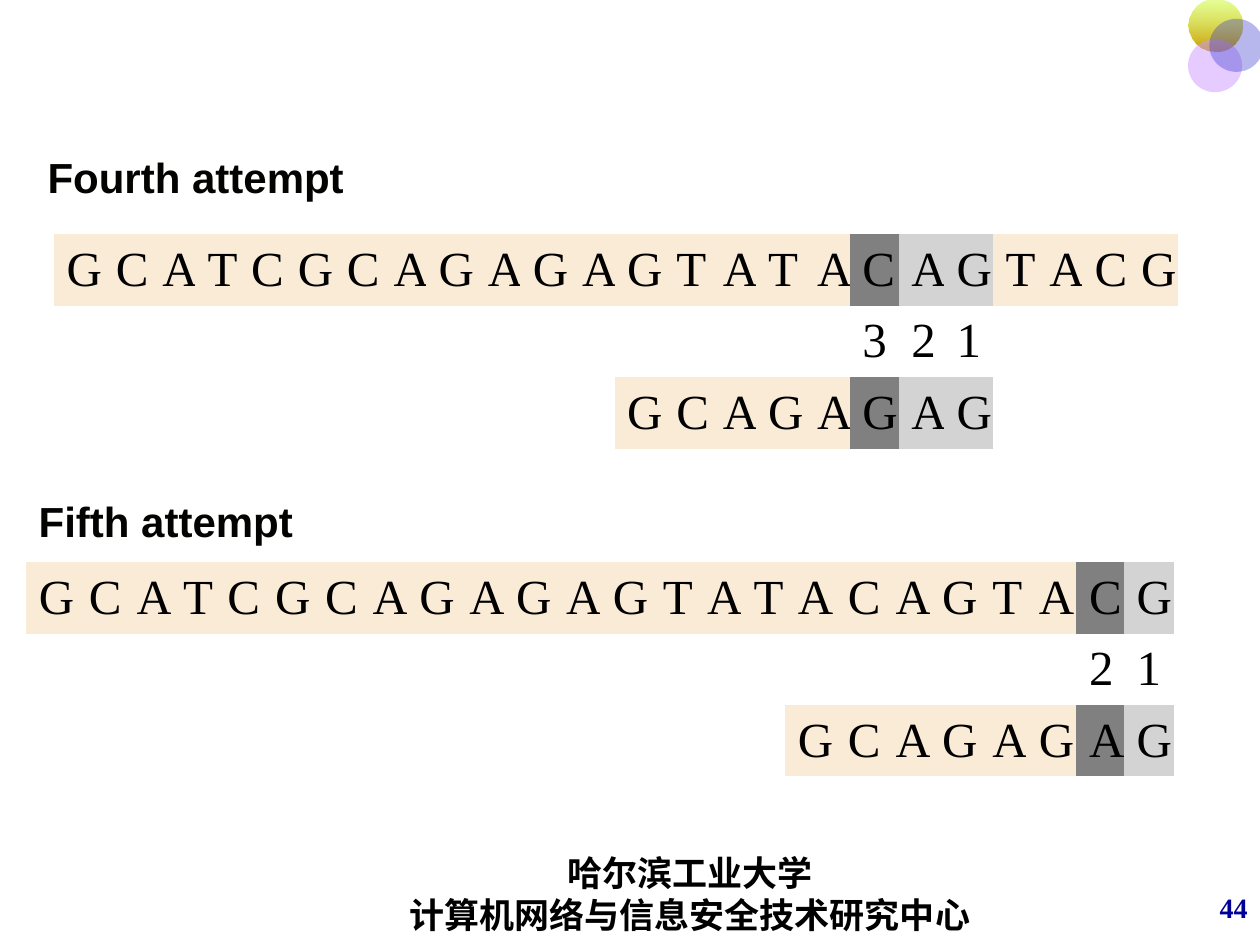
from dataclasses import dataclass

from lxml import etree
from pptx import Presentation
from pptx import util as u
from pptx.dml.color import RGBColor
from pptx.enum import shapes, text
from pptx.oxml import ns


@dataclass(frozen=True)
class Theme:
    heading_font: str = "Arial"
    body_font: str = "Times New Roman"
    heading_size: int = 24
    letter_size: int = 28
    footer_size: int = 20
    number_size: int = 16
    black: str = "000000"
    heading: str = "030301"
    number: str = "000099"
    plain: str = "FAEBD7"
    match: str = "D3D3D3"
    mismatch: str = "808080"
    empty: str = "FFFFFF"
    lime: str = "CCFF33"
    gold: str = "CC9900"
    lilac: str = "CC99FF"
    blue: str = "3333CC"


NO_STYLE = "{2D5ABB26-0587-4C30-8999-92F81FD0307C}"
SEQUENCE = "GCATCGCAGAGAGTATACAGTACG"
PATTERN = "GCAGAGAG"
ROW_HEIGHT = 1.44


def write(frame, content, font, size, color, bold=False, align=text.PP_ALIGN.LEFT):
    for index, line in enumerate(content.split("\n")):
        paragraph = frame.paragraphs[0] if index == 0 else frame.add_paragraph()
        paragraph.alignment = align
        run = paragraph.add_run()
        run.text = line
        run.font.name = font
        run.font.size = u.Pt(size)
        run.font.bold = bold
        run.font.color.rgb = RGBColor.from_string(color)


def set_alpha(shape, percent):
    color = shape.element.find(".//" + ns.qn("a:srgbClr"))
    etree.SubElement(color, ns.qn("a:alpha")).set("val", str(percent * 1000))


class SlideBuilder:
    def __init__(self, slide, theme):
        self.slide = slide
        self.theme = theme

    def text_box(self, content, left, top, width, height, **style):
        shape = self.slide.shapes.add_textbox(*map(u.Cm, (left, top, width, height)))
        frame = shape.text_frame
        frame.word_wrap = True
        frame.vertical_anchor = text.MSO_ANCHOR.MIDDLE
        write(frame, content, **style)

    def heading(self, content, left, top, width):
        self.text_box(content, left, top, width, 1.27, font=self.theme.heading_font,
                      size=self.theme.heading_size, color=self.theme.heading, bold=True)

    def circle(self, group, left, top, colors, alpha):
        shape = group.shapes.add_shape(shapes.MSO_SHAPE.OVAL,
                                       *map(u.Cm, (left, top, 1.09, 1.07)))
        shape.shadow.inherit = False
        shape.line.fill.background()
        if len(colors) == 1:
            shape.fill.solid()
            shape.fill.fore_color.rgb = RGBColor.from_string(colors[0])
        else:
            shape.fill.gradient()
            shape.fill.gradient_angle = 270
            for stop, position, color in zip(shape.fill.gradient_stops, (0, 1), colors):
                stop.position = position
                stop.color.rgb = RGBColor.from_string(color)
        set_alpha(shape, alpha)

    def ornament(self):
        group = self.slide.shapes.add_group_shape()
        self.circle(group, 23.95, -0.03, (self.theme.lime, self.theme.gold), 50)
        self.circle(group, 23.95, 0.79, (self.theme.lilac,), 50)
        self.circle(group, 24.38, 0.38, (self.theme.blue,), 35)

    def alignment_table(self, left, top, widths, offset, matched):
        end = offset + len(PATTERN)
        mismatch = end - matched - 1
        counts = "".join(str(end - column) for column in range(mismatch, end))
        rows = [(0, SEQUENCE), (mismatch, counts), (offset, PATTERN)]
        columns = [max(widths[content[index - start]] for start, content in rows[::2]
                       if start <= index < start + len(content))
                   for index in range(len(SEQUENCE))]
        frame = self.slide.shapes.add_table(
            len(rows), len(columns), u.Cm(left), u.Cm(top),
            u.Cm(sum(columns)), u.Cm(ROW_HEIGHT * len(rows)))
        frame.element.find(".//" + ns.qn("a:tableStyleId")).text = NO_STYLE
        table = frame.table
        table.first_row = table.horz_banding = False
        for column, width in zip(table.columns, columns):
            column.width = u.Cm(width)
        for row_index, (start, content) in enumerate(rows):
            table.rows[row_index].height = u.Cm(ROW_HEIGHT)
            stop = start + len(content)
            for index in range(len(columns)):
                cell = table.cell(row_index, index)
                color = self.theme.empty
                if start <= index < stop:
                    self.letter(cell, content[index - start])
                    if row_index != 1:
                        color = (self.theme.mismatch if index == mismatch
                                 else self.theme.match if mismatch < index < end
                                 else self.theme.plain)
                cell.fill.solid()
                cell.fill.fore_color.rgb = RGBColor.from_string(color)
            for first, last in ((0, start - 1), (stop, len(columns) - 1)):
                if first < last:
                    table.cell(row_index, first).merge(table.cell(row_index, last))

    def letter(self, cell, content):
        cell.vertical_anchor = text.MSO_ANCHOR.MIDDLE
        write(cell.text_frame, content, font=self.theme.body_font,
              size=self.theme.letter_size, color=self.theme.black)

    def footer(self, content, number):
        self.text_box(number, 23.42, 17.65, 1.98, 1.27, font=self.theme.body_font,
                      size=self.theme.number_size, color=self.theme.number,
                      bold=True, align=text.PP_ALIGN.RIGHT)
        self.text_box(content, 6.5, 17.12, 14.81, 1.8, font=self.theme.body_font,
                      size=self.theme.footer_size, color=self.theme.black,
                      bold=True, align=text.PP_ALIGN.CENTER)


def main():
    presentation = Presentation()
    presentation.slide_width = u.Cm(25.4)
    presentation.slide_height = u.Cm(19.05)
    slide = presentation.slides.add_slide(presentation.slide_layouts[6])
    builder = SlideBuilder(slide, Theme())
    builder.footer("哈尔滨工业大学\n计算机网络与信息安全技术研究中心", "44")
    builder.ornament()
    builder.heading("Fifth attempt", 0.53, 9.86, 5.74)
    builder.alignment_table(0.53, 11.33, {"G": 1.01, "C": 0.96, "A": 0.94, "T": 0.89},
                            offset=16, matched=1)
    builder.heading("Fourth attempt", 0.71, 2.92, 6.58)
    builder.alignment_table(1.09, 4.72, {"G": 0.99, "C": 0.94, "A": 0.91, "T": 0.88},
                            offset=12, matched=2)
    presentation.save("out.pptx")


if __name__ == "__main__":
    main()
